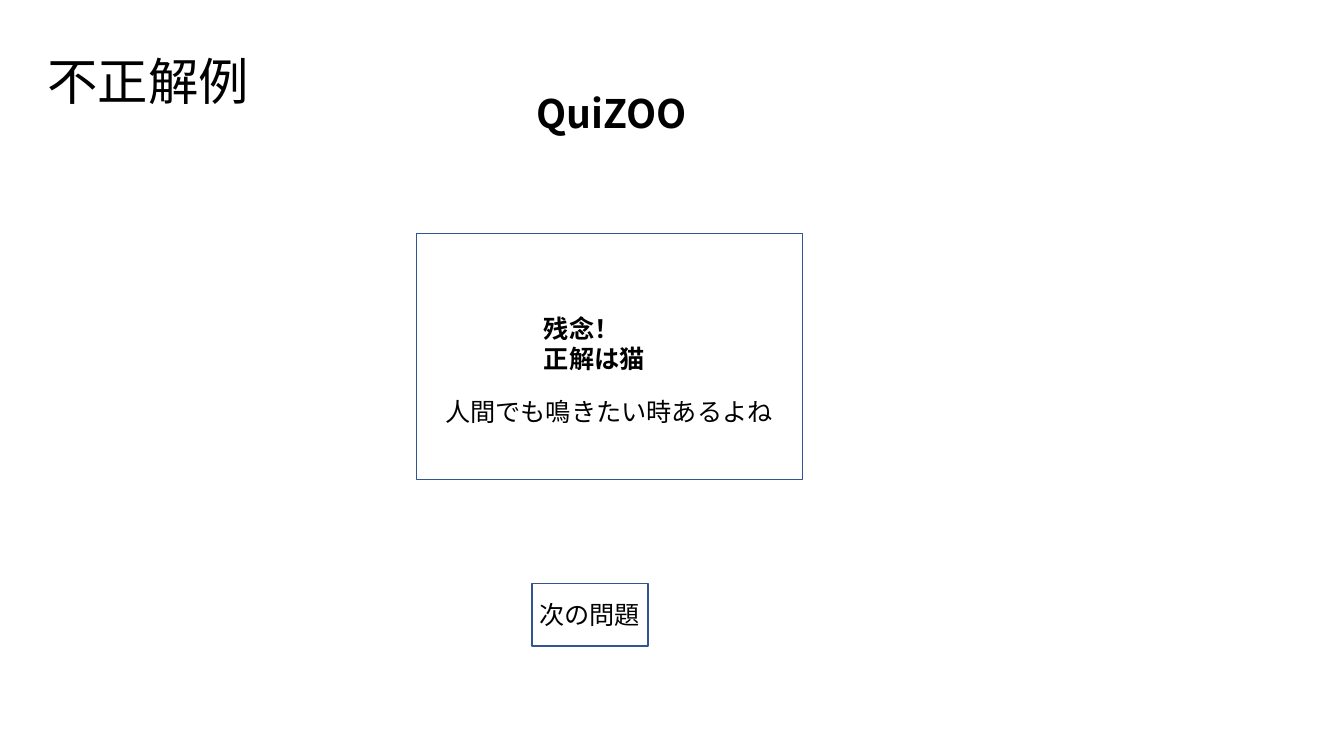
from dataclasses import dataclass

from lxml import etree
from pptx import Presentation
from pptx import util as u
from pptx.dml.color import RGBColor
from pptx.enum import shapes, text
from pptx.oxml.ns import qn
from pptx.shapes.autoshape import Shape
from pptx.slide import Slide

FONT = "Noto Sans CJK JP"
COLOURS = {"ink": "000000", "outline": "325491"}


@dataclass(frozen=True)
class Area:
    left: float
    top: float
    width: float
    height: float

    def lengths(self) -> list[u.Cm]:
        return [u.Cm(side) for side in (self.left, self.top, self.width, self.height)]


@dataclass(frozen=True)
class Label:
    words: str
    area: Area
    size: int = 18
    bold: bool = False


TITLE = Label("不正解例", Area(0.94, 0.28, 29.21, 3.68), 36)
FRAMES = [
    Area(10.49, 5.89, 9.73, 6.2),  # answer panel
    Area(13.41, 14.71, 2.92, 1.57),  # next-question button
]
LABELS = [
    Label("QuiZOO", Area(13.26, 2.13, 4.57, 1.45), 28, True),
    Label("残念！\n正解は猫", Area(13.46, 7.77, 8.71, 1.8), bold=True),
    Label("次の問題", Area(13.34, 14.99, 3.38, 1.02)),
    Label("人間でも鳴きたい時あるよね", Area(10.97, 9.86, 10.24, 1.02)),
]


def write_label(box: Shape, label: Label) -> None:
    """Fill a box with the label's words, in one font for Latin and Japanese."""
    box.text_frame.text = label.words
    box.text_frame.word_wrap = True
    for para in box.text_frame.paragraphs:
        para.alignment = text.PP_ALIGN.LEFT
        for span in para.runs:
            span.font.name = FONT
            span.font.size = u.Pt(label.size)
            span.font.bold = label.bold
            span.font.color.rgb = RGBColor.from_string(COLOURS["ink"])
    for properties in box.element.iter(qn("a:rPr")):
        etree.SubElement(properties, qn("a:ea"), typeface=FONT)


def add_title(page: Slide) -> None:
    title = page.shapes.title
    title.left, title.top, title.width, title.height = TITLE.area.lengths()
    write_label(title, TITLE)
    title.text_frame.auto_size = text.MSO_AUTO_SIZE.NONE
    title.text_frame.vertical_anchor = text.MSO_ANCHOR.MIDDLE
    title.text_frame.paragraphs[0].line_spacing = 0.9


def add_frame(page: Slide, area: Area) -> None:
    frame = page.shapes.add_shape(shapes.MSO_SHAPE.RECTANGLE, *area.lengths())
    frame.shadow.inherit = False
    frame.fill.background()
    frame.line.color.rgb = RGBColor.from_string(COLOURS["outline"])
    frame.line.width = u.Pt(1)


def add_label(page: Slide, label: Label) -> None:
    box = page.shapes.add_textbox(*label.area.lengths())
    write_label(box, label)
    box.text_frame.auto_size = text.MSO_AUTO_SIZE.SHAPE_TO_FIT_TEXT


def main() -> None:
    deck = Presentation()
    deck.slide_width, deck.slide_height = u.Cm(33.87), u.Cm(19.05)
    page = deck.slides.add_slide(deck.slide_layouts.get_by_name("Title Only"))
    add_title(page)
    for area in FRAMES:
        add_frame(page, area)
    for label in LABELS:
        add_label(page, label)
    deck.save("out.pptx")


if __name__ == "__main__":
    main()
